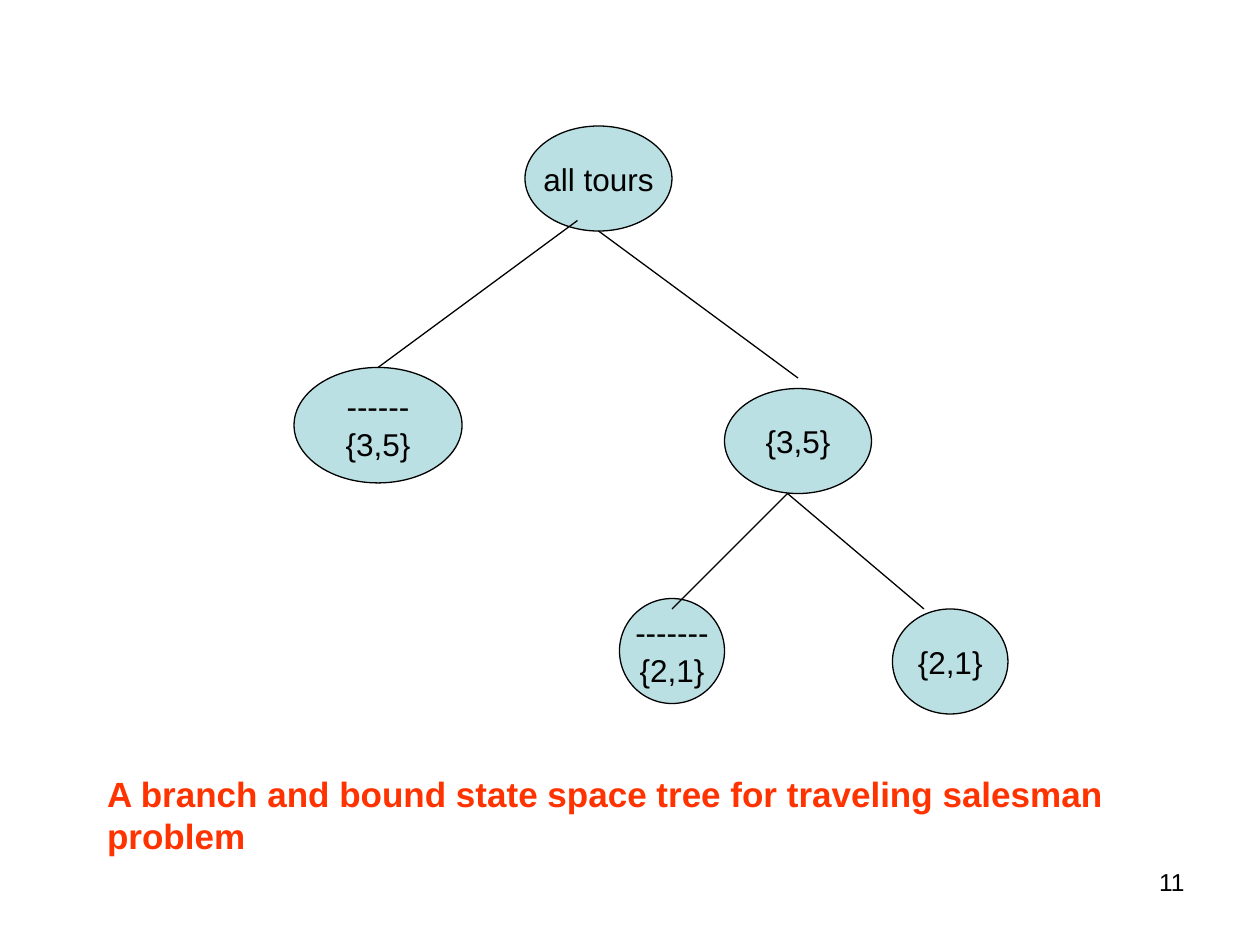
"""Build a slide with a branch and bound state space tree."""
from pptx import Presentation
from pptx import util as u
from pptx.dml.color import RGBColor
from pptx.enum import shapes, text
from pptx.oxml.ns import qn
from lxml import etree

BLACK = RGBColor(0x00, 0x00, 0x00)
PALE_TEAL = RGBColor(0xBB, 0xE0, 0xE3)
ORANGE_RED = RGBColor(0xFF, 0x33, 0x00)


class TreeSlide:
    """Style and current slide, measured on a grid of 120 columns by 90 rows."""

    font = "Arial"
    line_width = u.Pt(0.75)

    def __init__(self, deck):
        """Add a title-only slide to the deck."""
        self.column = deck.slide_width / 120
        self.row = deck.slide_height / 90
        self.page = deck.slides.add_slide(deck.slide_layouts[5])

    def place(self, *lengths):
        """Turn alternating columns and rows into slide lengths."""
        units = (self.column, self.row) * 2
        return [u.Emu(round(length * unit)) for length, unit in zip(lengths, units)]

    def set_words(self, shape, words, size, color, align, anchor, wrap=True, bold=False):
        """Put formatted text into a shape."""
        frame = shape.text_frame
        frame.text = words
        frame.word_wrap = wrap
        frame.auto_size = text.MSO_AUTO_SIZE.NONE
        frame.vertical_anchor = anchor
        for para in frame.paragraphs:
            para.alignment = align
            for span in para.runs:
                span.font.name = self.font
                span.font.size = u.Pt(size)
                span.font.bold = bold
                span.font.color.rgb = color

    def node(self, words, *grid):
        """Draw an oval tree node."""
        oval = self.page.shapes.add_shape(shapes.MSO_SHAPE.OVAL, *self.place(*grid))
        oval.shadow.inherit = False
        oval.fill.solid()
        oval.fill.fore_color.rgb = PALE_TEAL
        oval.line.color.rgb = BLACK
        oval.line.width = self.line_width
        self.set_words(oval, words, 18, BLACK, text.PP_ALIGN.CENTER,
                       text.MSO_ANCHOR.MIDDLE, wrap=False)
        return oval

    def branch(self, *grid):
        """Draw a straight line between two grid points."""
        line = self.page.shapes.add_connector(
            shapes.MSO_CONNECTOR.STRAIGHT, *self.place(*grid))
        line.line.color.rgb = BLACK
        line.line.width = self.line_width
        etree.SubElement(line._element.spPr, qn("a:effectLst"))
        return line

    def caption(self, words, *grid):
        """Move the title placeholder and fill it as the caption."""
        title = self.page.shapes.title
        title.left, title.top, title.width, title.height = self.place(*grid)
        self.set_words(title, words, 20, ORANGE_RED, text.PP_ALIGN.LEFT,
                       text.MSO_ANCHOR.TOP, bold=True)
        title.text_frame.paragraphs[0].space_before = u.Pt(12.5)

    def number(self, words, *grid):
        """Add the page number."""
        box = self.page.shapes.add_textbox(*self.place(*grid))
        self.set_words(box, words, 14, BLACK, text.PP_ALIGN.RIGHT, text.MSO_ANCHOR.TOP)


def main():
    """Build and save the deck."""
    deck = Presentation()
    deck.slide_width, deck.slide_height = u.Inches(10), u.Inches(7.5)
    tree = TreeSlide(deck)

    tree.node("all tours", 50, 12, 14, 10)
    without_edge = tree.node("------\n{3,5}", 28, 35, 16, 11)
    tree.node("{3,5}", 69, 37, 14, 10)
    tree.node("-------\n{2,1}", 59, 57, 10, 10)
    tree.node("{2,1}", 85, 58, 11, 10)

    tree.branch(55, 21, 36, 35).end_connect(without_edge, 0)
    tree.branch(57, 22, 76, 36)
    for column in (64, 88):
        tree.branch(75, 47, column, 58)

    tree.caption("A branch and bound state space tree for traveling salesman problem",
                 9, 73, 98, 9.25)
    tree.number("11", 86, 82, 28, 6.25)
    deck.save("out.pptx")


if __name__ == "__main__":
    main()
